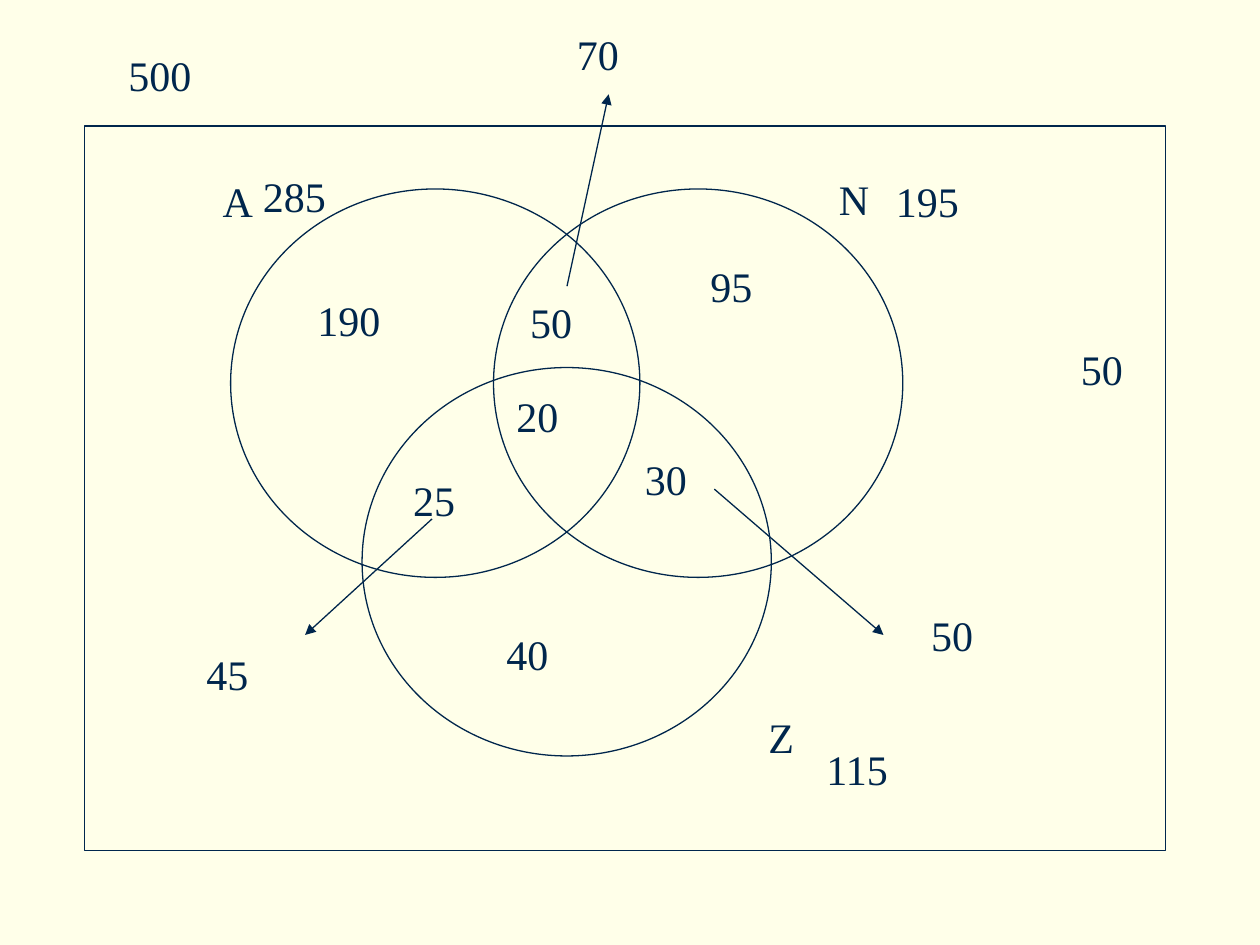
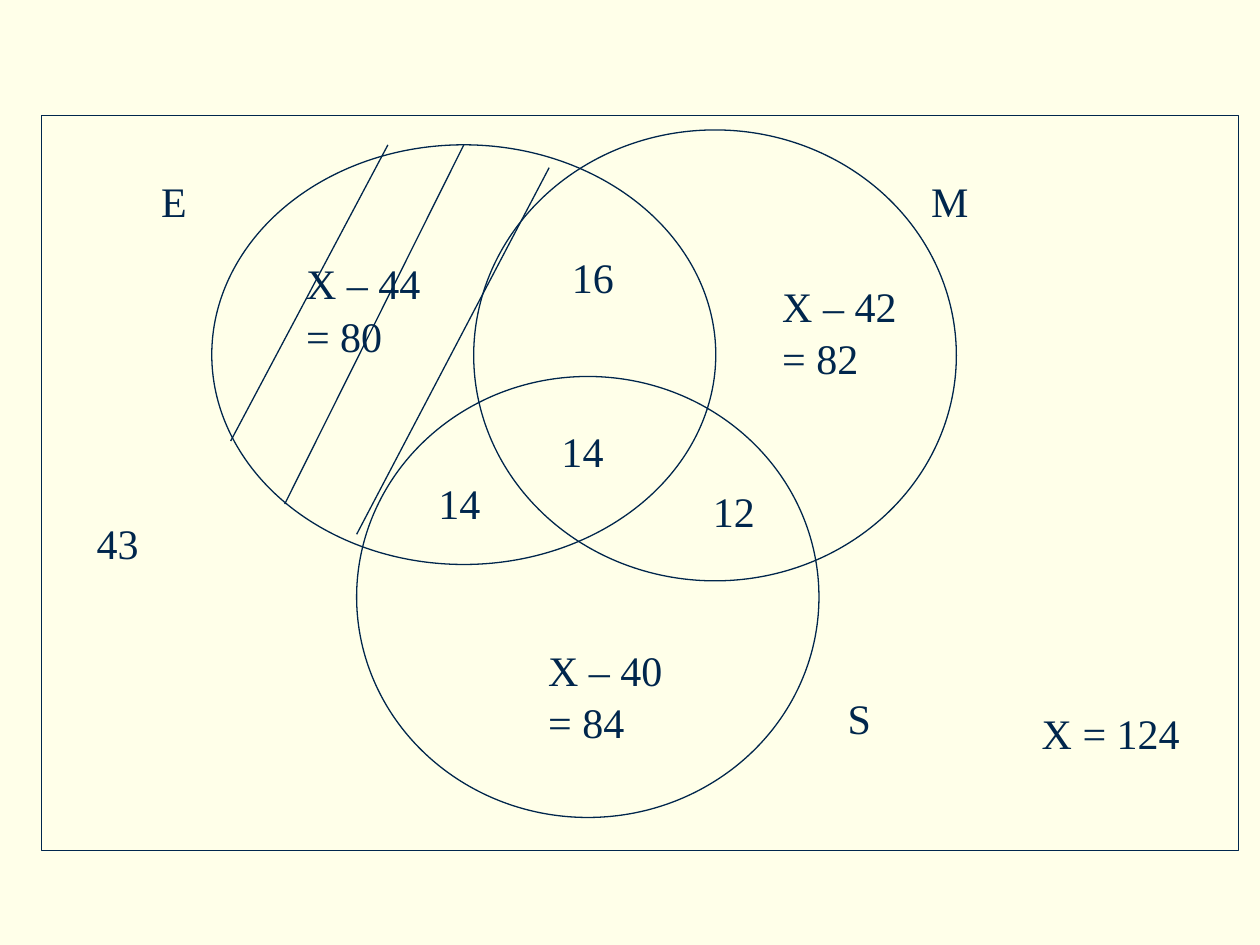
from lxml import etree
from pptx import Presentation
from pptx.dml.color import RGBColor
from pptx.enum import shapes, text
from pptx.oxml import ns
from pptx.util import Cm, Pt

NAVY = RGBColor(0x00, 0x26, 0x4C)
CREAM = RGBColor(0xFF, 0xFF, 0xE9)
FONT_FORMAT = {"name": "Times New Roman", "size": Pt(24)}
FRAME_FORMAT = {"word_wrap": True, "auto_size": text.MSO_AUTO_SIZE.SHAPE_TO_FIT_TEXT}
LINE_WIDTH = Pt(0.75)
LINE_SPACING = 1.04
LABEL_HEIGHT, EQUATION_HEIGHT = 1.28, 2.31

# Content, all lengths in centimetres
# frame and circles: left, top, width, height
# labels and equations: text, left, top, width
# lines: start x, start y, end x, end y
VENN_DIAGRAMS = [
    {
        "frame": (1.7, 2.54, 21.79, 14.6),
        "circles": [
            (4.65, 3.81, 8.25, 7.83),
            (9.95, 3.81, 8.25, 7.83),
            (7.3, 7.41, 8.25, 7.83),
        ],
        "labels": [
            # Set names and totals
            ("500", 2.34, 0.84, 4.98),
            ("A", 4.24, 3.38, 1.47),
            ("285", 5.05, 3.28, 2.77),
            ("N", 16.66, 3.33, 2.29),
            ("195", 17.81, 3.38, 2.03),
            ("Z", 15.24, 14.17, 1.9),
            ("115", 16.41, 14.83, 2.51),
            # Pairwise totals and the outside
            ("70", 11.38, 0.41, 3.38),
            ("50", 18.52, 12.12, 2.34),
            ("45", 3.91, 12.9, 2.51),
            ("50", 21.54, 6.76, 2.34),
            # Regions
            ("190", 6.15, 5.77, 2.64),
            ("95", 14.07, 5.08, 3.07),
            ("40", 9.96, 12.5, 3.12),
            ("50", 10.44, 5.82, 2.01),
            ("25", 8.08, 9.4, 2.39),
            ("30", 12.75, 8.97, 1.65),
            ("20", 10.16, 7.7, 2.59),
        ],
        "equations": [],
        "arrows": [
            (11.43, 5.77, 12.27, 1.9),
            (14.4, 9.86, 17.81, 12.8),
            (8.71, 10.46, 6.15, 12.8),
        ],
        "hatching": [],
    },
    {
        "frame": (0.84, 2.33, 24.13, 14.81),
        "circles": [
            (4.27, 2.92, 10.16, 8.46),
            (9.55, 2.62, 9.73, 9.09),
            (7.19, 7.59, 9.32, 8.89),
        ],
        "labels": [
            ("E", 3.0, 3.38, 2.54),
            ("M", 18.52, 3.38, 2.54),
            ("S", 16.84, 13.79, 2.54),
            ("14", 11.07, 8.41, 2.54),
            ("16", 11.28, 4.9, 2.54),
            ("14", 8.59, 9.47, 2.54),
            ("12", 14.12, 9.63, 2.54),
            ("43", 1.7, 10.26, 2.54),
            ("X = 124", 20.75, 14.1, 3.81),
        ],
        "equations": [
            ("X – 44 = 80", 5.92, 5.03, 3.3),
            ("X – 42 = 82", 15.52, 5.49, 3.45),
            ("X – 40 = 84", 10.8, 12.83, 2.84),
        ],
        "arrows": [],
        "hatching": [
            (7.19, 10.77, 11.07, 3.38),
            (5.74, 10.16, 9.35, 2.92),
            (4.65, 8.89, 7.82, 2.92),
        ],
    },
]


def apply_format(target, values):
    for name, value in values.items():
        setattr(target, name, value)


def apply_line(shape):
    shape.line.color.rgb = NAVY
    shape.line.width = LINE_WIDTH


def add_outline(slide, preset, box):
    shape = slide.shapes.add_shape(preset, *map(Cm, box))
    shape.shadow.inherit = False
    shape.fill.background()
    apply_line(shape)


def add_label(slide, wording, left, top, width, height):
    box = slide.shapes.add_textbox(Cm(left), Cm(top), Cm(width), Cm(height))
    apply_format(box.text_frame, FRAME_FORMAT)
    paragraph = box.text_frame.paragraphs[0]
    paragraph.line_spacing = LINE_SPACING
    run = paragraph.add_run()
    run.text = wording
    apply_format(run.font, FONT_FORMAT)
    run.font.color.rgb = NAVY


def add_line(slide, ends, arrowhead=False):
    line = slide.shapes.add_connector(shapes.MSO_CONNECTOR.STRAIGHT, *map(Cm, ends))
    apply_line(line)
    if arrowhead:
        outline = line.line._get_or_add_ln()
        etree.SubElement(outline, ns.qn("a:tailEnd"), type="triangle")
    etree.SubElement(line._element.spPr, ns.qn("a:effectLst"))


def add_venn_slide(presentation, diagram):
    slide = presentation.slides.add_slide(presentation.slide_layouts[6])
    slide.background.fill.solid()
    slide.background.fill.fore_color.rgb = CREAM

    # Universal set and its three subsets
    add_outline(slide, shapes.MSO_SHAPE.RECTANGLE, diagram["frame"])
    for circle in diagram["circles"]:
        add_outline(slide, shapes.MSO_SHAPE.OVAL, circle)

    # Names and counts
    for label in diagram["labels"]:
        add_label(slide, *label, LABEL_HEIGHT)
    for equation in diagram["equations"]:
        add_label(slide, *equation, EQUATION_HEIGHT)

    # Arrows to pairwise totals, and hatching
    for ends in diagram["arrows"]:
        add_line(slide, ends, arrowhead=True)
    for ends in diagram["hatching"]:
        add_line(slide, ends)


def main():
    presentation = Presentation()
    presentation.slide_width, presentation.slide_height = Cm(25.4), Cm(19.05)
    for diagram in VENN_DIAGRAMS:
        add_venn_slide(presentation, diagram)
    presentation.save("out.pptx")


if __name__ == "__main__":
    main()
